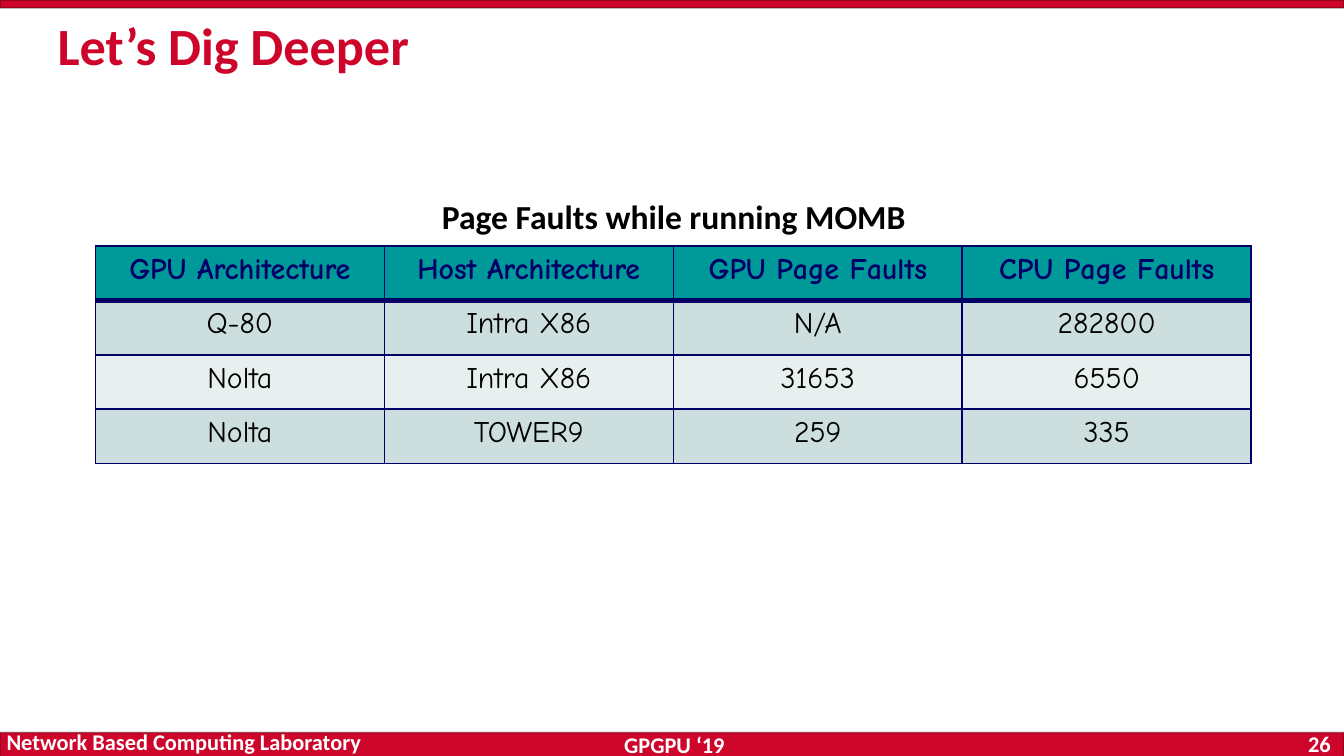
import pptx
import pptx.util
import pptx.dml.color
import pptx.enum.shapes
import pptx.enum.text
import pptx.oxml
import pptx.oxml.ns
from dataclasses import dataclass

TITLE = "Let’s Dig Deeper"
CAPTION = "Page Faults while running MOMB"
ROWS = [
    ("GPU Architecture", "Host Architecture", "GPU Page Faults", "CPU Page Faults"),
    ("Q-80", "Intra X86", "N/A", "282800"),
    ("Nolta", "Intra X86", "31653", "6550"),
    ("Nolta", "TOWER9", "259", "335"),
]
# text, box (left, top, width, height), alignment, anchor
FOOTER = [
    (" GPGPU ‘19", (0, 5.49, 10, 0.1), "CENTER", "MIDDLE"),
    ("26", (9.34, 5.44, 0.66, 0.18), "RIGHT", "MIDDLE"),
    ("Network Based Computing Laboratory", (-0.05, 5.48, 3.02, 0.19), "LEFT", "BOTTOM"),
]
WIDE = 10
HIGH = WIDE * 9 / 16
BARS = [(0, 5.45, WIDE, 0.19), (0, 0, WIDE, 0.06)]
TABLE = (0.71, 1.83, 8.6, 1.62)


@dataclass(frozen=True)
class Theme:
    red: str = "CD052B"
    white: str = "FFFFFF"
    black: str = "000000"
    navy: str = "000066"
    teal: str = "009999"
    bands: tuple = ("CCDEDE", "E7EFEF")
    sans: str = "Calibri"
    comic: str = "Comic Neue"
    title: int = 28
    caption: int = 18
    cell: int = 16
    foot: int = 12


T = Theme()
Inches, Pt = pptx.util.Inches, pptx.util.Pt
Anchor, Align = pptx.enum.text.MSO_ANCHOR, pptx.enum.text.PP_ALIGN


def color(code):
    return pptx.dml.color.RGBColor.from_string(code)


def write(frame, text, size, ink, font=T.sans, bold=True, align="LEFT",
          anchor="TOP", space=None):
    frame.word_wrap = True
    frame.vertical_anchor = Anchor[anchor]
    para = frame.paragraphs[0]
    para.alignment = Align[align]
    if space:
        para.line_spacing = space
    run = para.add_run()
    run.text = text
    run.font.size, run.font.bold, run.font.name = Pt(size), bold, font
    run.font.color.rgb = color(ink)


def label(slide, box, text, size, ink, **style):
    shape = slide.shapes.add_textbox(*map(Inches, box))
    write(shape.text_frame, text, size, ink, **style)


def bar(slide, box):
    """Add a red strip with a faint black outline."""
    kind = pptx.enum.shapes.MSO_SHAPE.RECTANGLE
    shape = slide.shapes.add_shape(kind, *map(Inches, box))
    shape.shadow.inherit = False
    shape.fill.solid()
    shape.fill.fore_color.rgb = color(T.red)
    shape.line.color.rgb = color(T.black)
    shape.line.width = Pt(1)
    ink = shape.line._ln.find(".//" + pptx.oxml.ns.qn("a:srgbClr"))
    ink.append(pptx.oxml.parse_xml(
        f'<a:alpha {pptx.oxml.ns.nsdecls("a")} val="25000"/>'))


def edge(cell, **widths):
    """Draw cell borders; the schema wants them ahead of the fill."""
    props = cell._tc.get_or_add_tcPr()
    for spot, (side, width) in enumerate(widths.items()):
        props.insert(spot, pptx.oxml.parse_xml(
            f'<a:ln{side} {pptx.oxml.ns.nsdecls("a")} w="{Pt(width)}">'
            f'<a:solidFill><a:srgbClr val="{T.navy}"/></a:solidFill>'
            f'<a:prstDash val="solid"/></a:ln{side}>'))


def table(slide):
    rows, cols = len(ROWS), len(ROWS[0])
    grid = slide.shapes.add_table(rows, cols, *map(Inches, TABLE)).table
    for r, row in enumerate(ROWS):
        head = r == 0
        for c, text in enumerate(row):
            cell = grid.cell(r, c)
            cell.fill.solid()
            cell.fill.fore_color.rgb = color(T.teal if head else T.bands[(r - 1) % 2])
            write(cell.text_frame, text, T.cell, T.navy if head else T.black,
                  font=T.comic, bold=head, align="CENTER")
            edge(cell, L=1, R=1, T=3 if r == 1 else 1, B=3 if head else 1)


def main():
    deck = pptx.Presentation()
    deck.slide_width, deck.slide_height = Inches(WIDE), Inches(HIGH)
    slide = deck.slides.add_slide(deck.slide_layouts[6])
    for box in BARS:
        bar(slide, box)
    for text, box, align, anchor in FOOTER:
        label(slide, box, text, T.foot, T.white, align=align, anchor=anchor)
    table(slide)
    label(slide, (0.33, 0.05, 9.42, 0.63), TITLE, T.title, T.red)
    label(slide, (2.8, 1.35, 4.43, 0.44), CAPTION, T.caption, T.black,
          align="CENTER", space=1.2)
    deck.save("out.pptx")


if __name__ == "__main__":
    main()
